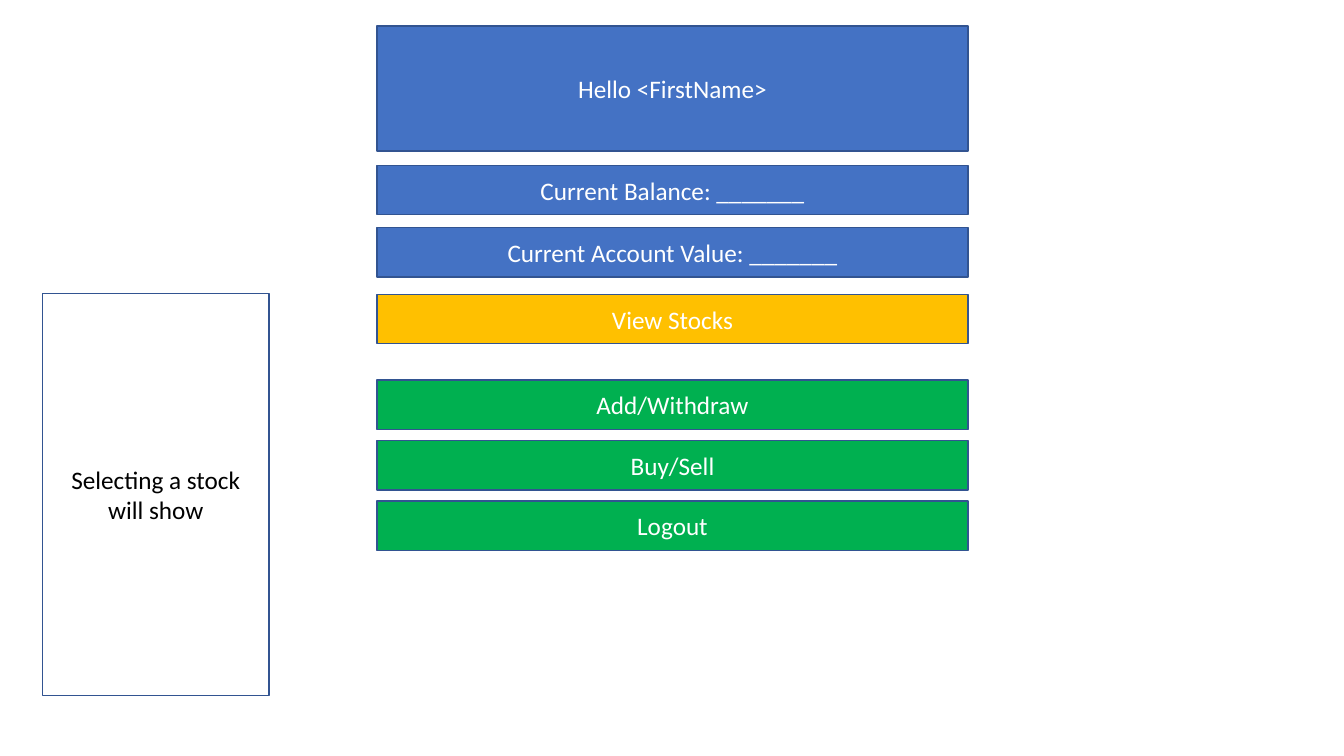
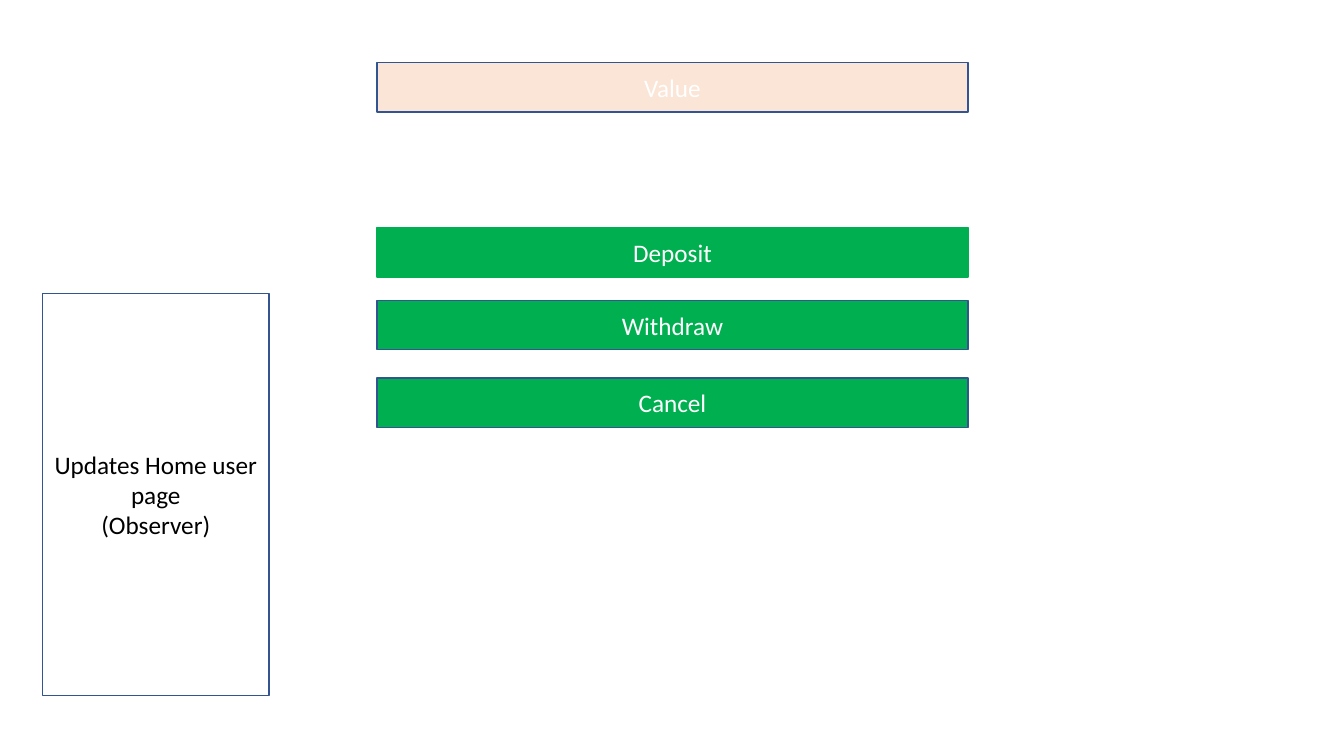
from dataclasses import dataclass

from pptx import Presentation
from pptx.dml.color import RGBColor
from pptx.enum.shapes import MSO_SHAPE
from pptx.enum.text import MSO_ANCHOR, PP_ALIGN
from pptx.util import Inches, Pt


@dataclass(frozen=True)
class Theme:
    font: str = "Calibri"
    size: int = 18
    blue: str = "4472C4"
    gold: str = "FFC000"
    green: str = "00B050"
    peach: str = "FBE5D6"
    edge: str = "325491"
    white: str = "FFFFFF"
    black: str = "000000"


THEME = Theme()

# Content: each stack is top, step, fill, labels, then any options
HOME = {
    "stacks": [
        (0.26, 0, THEME.blue, ["Hello <FirstName>"], {"height": 1.24}),
        (1.64, 0.62, THEME.blue,
         ["Current Balance: _______", "Current Account Value: _______"], {}),
        (2.92, 0, THEME.gold, ["View Stocks"], {}),
        (3.77, 0.6, THEME.green, ["Add/Withdraw", "Buy/Sell", "Logout"], {}),
    ],
    "note": ["Selecting a stock will show"],
}
FUNDS = {
    "stacks": [
        (0.62, 0, THEME.peach, ["Value"], {}),
        (2.26, 0, THEME.green, ["Deposit"], {"edge": THEME.green}),
        (2.98, 0.77, THEME.green, ["Withdraw", "Cancel"], {}),
    ],
    "note": ["Updates Home user page", "(Observer)"],
}

# Layout
BAR_LEFT, BAR_WIDTH, BAR_HEIGHT = 3.74, 5.86, 0.49
NOTE_BOX = (0.42, 2.91, 2.25, 3.99)


def write(frame, lines, color=THEME.white, size=THEME.size):
    """Fill a text frame with centred paragraphs."""
    frame.word_wrap = True
    frame.vertical_anchor = MSO_ANCHOR.MIDDLE
    for i, line in enumerate(lines):
        para = frame.paragraphs[0] if i == 0 else frame.add_paragraph()
        para.alignment = PP_ALIGN.CENTER
        run = para.add_run()
        run.text = line
        run.font.name = THEME.font
        run.font.size = Pt(size)
        run.font.color.rgb = RGBColor.from_string(color)


def add_box(slide, box, lines, fill=None, edge=THEME.edge, color=THEME.white):
    """Draw an outlined rectangle, hollow when there is no fill."""
    shape = slide.shapes.add_shape(MSO_SHAPE.RECTANGLE, *map(Inches, box))
    shape.shadow.inherit = False
    if fill:
        shape.fill.solid()
        shape.fill.fore_color.rgb = RGBColor.from_string(fill)
    else:
        shape.fill.background()
    shape.line.color.rgb = RGBColor.from_string(edge)
    shape.line.width = Pt(1)
    write(shape.text_frame, lines, color=color)


def add_page(deck, page):
    """Draw the stacks of bars and the side note."""
    slide = deck.slides.add_slide(deck.slide_layouts[6])
    for top, step, fill, labels, opts in page["stacks"]:
        height = opts.get("height", BAR_HEIGHT)
        edge = opts.get("edge", THEME.edge)
        for i, label in enumerate(labels):
            box = (BAR_LEFT, top + i * step, BAR_WIDTH, height)
            add_box(slide, box, [label], fill=fill, edge=edge)
    add_box(slide, NOTE_BOX, page["note"], color=THEME.black)


def main():
    deck = Presentation()
    deck.slide_width, deck.slide_height = Inches(13.33), Inches(7.5)
    for page in (HOME, FUNDS):
        add_page(deck, page)
    deck.save("out.pptx")


if __name__ == "__main__":
    main()
